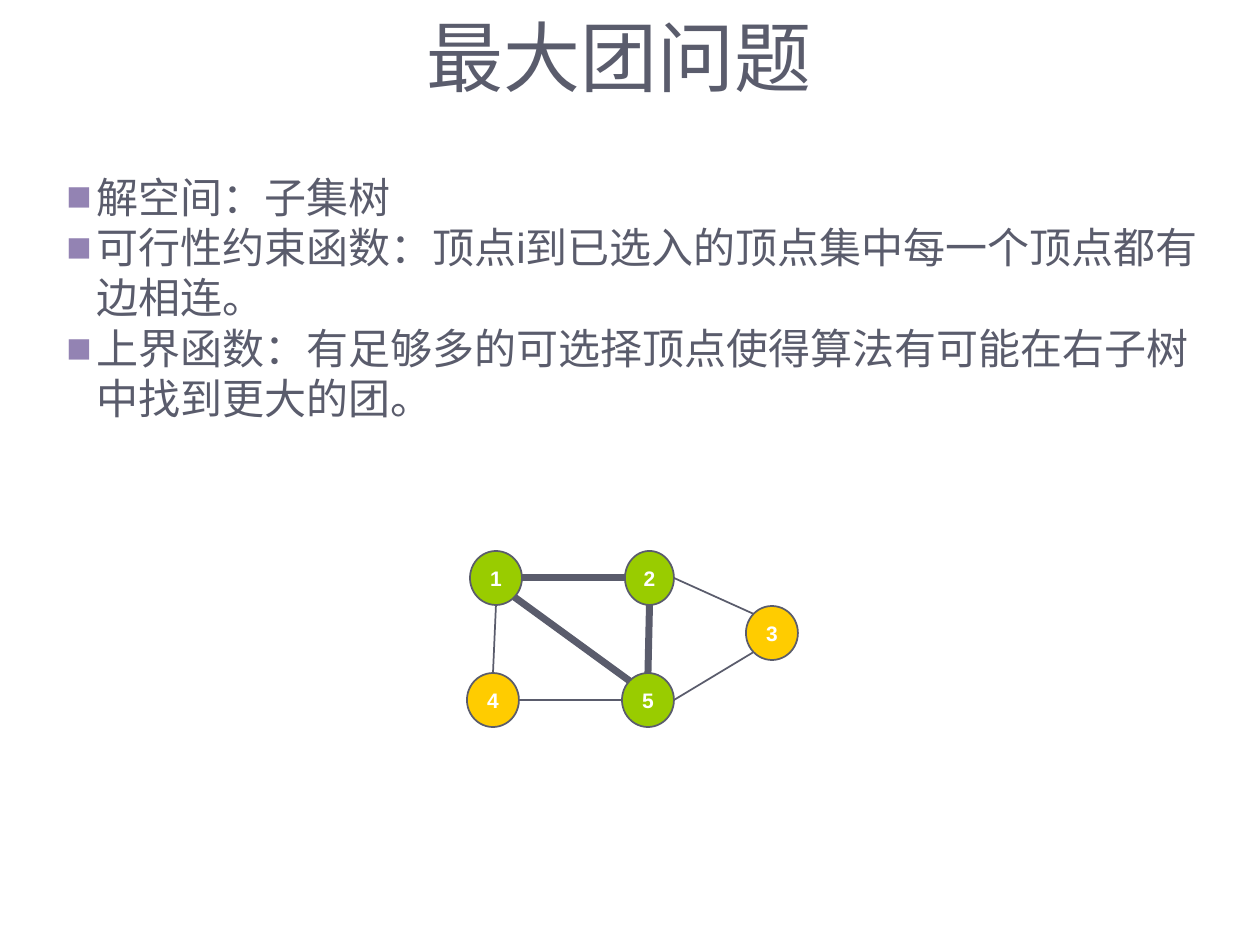
from math import sqrt
from lxml.etree import SubElement
from pptx import Presentation
from pptx.dml.color import RGBColor
from pptx.enum.shapes import MSO_CONNECTOR, MSO_SHAPE
from pptx.enum.text import MSO_ANCHOR, MSO_AUTO_SIZE, PP_ALIGN
from pptx.oxml.ns import qn
from pptx.util import Emu, Pt

TITLE = "最大团问题"
BULLETS = [
    "解空间：子集树",
    "可行性约束函数：顶点i到已选入的顶点集中每一个顶点都有边相连。",
    "上界函数：有足够多的可选择顶点使得算法有可能在右子树中找到更大的团。",
]

SLATE = RGBColor(0x5A, 0x5C, 0x6C)
PURPLE = RGBColor(0x93, 0x83, 0xB3)
GREEN = RGBColor(0x99, 0xCC, 0x00)
YELLOW = RGBColor(0xFF, 0xCC, 0x00)
WHITE = RGBColor(0xFF, 0xFF, 0xFF)

TITLE_BOX = (84, 0, 1071, 111)
BULLET_BOX = (54, 165, 1171, 265)
BULLET_INDENT = 30
NODE_HEIGHT = 54
NODES = {
    "1": (470, 551, 52, GREEN),
    "2": (625, 551, 49, GREEN),
    "4": (467, 673, 52, YELLOW),
    "5": (622, 673, 52, GREEN),
    "3": (746, 606, 52, YELLOW),
}
THIN, THICK = 1, 4
EDGES = [
    ("1", "right", "2", "left", THICK),
    ("1", "bottom", "4", "top", THIN),
    ("4", "right", "5", "left", THIN),
    ("5", "top", "2", "bottom", THICK),
    ("1", "bottom right", "5", "top left", THICK),
    ("3", "top left", "2", "right", THIN),
    ("5", "right", "3", "bottom left", THIN),
]
DIRECTIONS = {"left": (-1, 0), "right": (1, 0), "top": (0, -1), "bottom": (0, 1)}
TITLE_FONT = {"name": "Lato", "size": Pt(44), "bold": False}
BULLET_FONT = {"name": "Arial", "size": Pt(24)}
NODE_FONT = {"name": "Arial", "size": Pt(12), "bold": True}


def px(value):
    return Emu(round(value * 914400 / 126))


def set_format(target, values):
    for name, value in values.items():
        setattr(target, name, value)


def place(shape, box):
    for name, value in zip(("left", "top", "width", "height"), box):
        setattr(shape, name, px(value))


def write(paragraph, text, font, color):
    run = paragraph.add_run()
    run.text = text
    set_format(run.font, font)
    run.font.color.rgb = color


def add_bullet(paragraph):
    properties = paragraph._p.get_or_add_pPr()
    properties.set("marL", str(px(BULLET_INDENT)))
    properties.set("indent", str(-px(BULLET_INDENT)))
    color = SubElement(properties, qn("a:buClr"))
    SubElement(color, qn("a:srgbClr"), val=str(PURPLE))
    SubElement(properties, qn("a:buFont"), typeface="Arial")
    SubElement(properties, qn("a:buChar"), char="■")


def add_node(group, label, left, top, width, color):
    node = group.shapes.add_shape(
        MSO_SHAPE.OVAL, px(left), px(top), px(width), px(NODE_HEIGHT))
    node.shadow.inherit = False
    node.fill.solid()
    node.fill.fore_color.rgb = color
    node.line.color.rgb = SLATE
    node.line.width = Pt(THIN)
    frame = node.text_frame
    set_format(frame, {"word_wrap": False, "vertical_anchor": MSO_ANCHOR.MIDDLE})
    paragraph = frame.paragraphs[0]
    paragraph.alignment = PP_ALIGN.CENTER
    write(paragraph, label, NODE_FONT, WHITE)


def rim_point(label, site):
    left, top, width, _ = NODES[label]
    steps = [DIRECTIONS[word] for word in site.split()]
    reach = sqrt(len(steps))
    x = left + width / 2 * (1 + sum(step[0] for step in steps) / reach)
    y = top + NODE_HEIGHT / 2 * (1 + sum(step[1] for step in steps) / reach)
    return px(x), px(y)


def add_edge(group, start, start_site, end, end_site, weight):
    edge = group.shapes.add_connector(
        MSO_CONNECTOR.STRAIGHT, *rim_point(start, start_site), *rim_point(end, end_site))
    edge.line.color.rgb = SLATE
    edge.line.width = Pt(weight)
    SubElement(edge._element.spPr, qn("a:effectLst"))


def main():
    presentation = Presentation()
    presentation.slide_width, presentation.slide_height = px(1260), px(945)
    slide = presentation.slides.add_slide(presentation.slide_layouts[5])

    title = slide.shapes.title
    place(title, TITLE_BOX)
    set_format(title.text_frame, {
        "auto_size": MSO_AUTO_SIZE.NONE, "vertical_anchor": MSO_ANCHOR.MIDDLE})
    heading = title.text_frame.paragraphs[0]
    heading.alignment = PP_ALIGN.CENTER
    write(heading, TITLE, TITLE_FONT, SLATE)

    frame = slide.shapes.add_textbox(*map(px, BULLET_BOX)).text_frame
    frame.word_wrap = True
    for index, text in enumerate(BULLETS):
        paragraph = frame.add_paragraph() if index else frame.paragraphs[0]
        add_bullet(paragraph)
        write(paragraph, text, BULLET_FONT, SLATE)

    graph = slide.shapes.add_group_shape()
    for label, values in NODES.items():
        add_node(graph, label, *values)
    for edge in EDGES:
        add_edge(graph, *edge)

    presentation.save("out.pptx")


if __name__ == "__main__":
    main()
